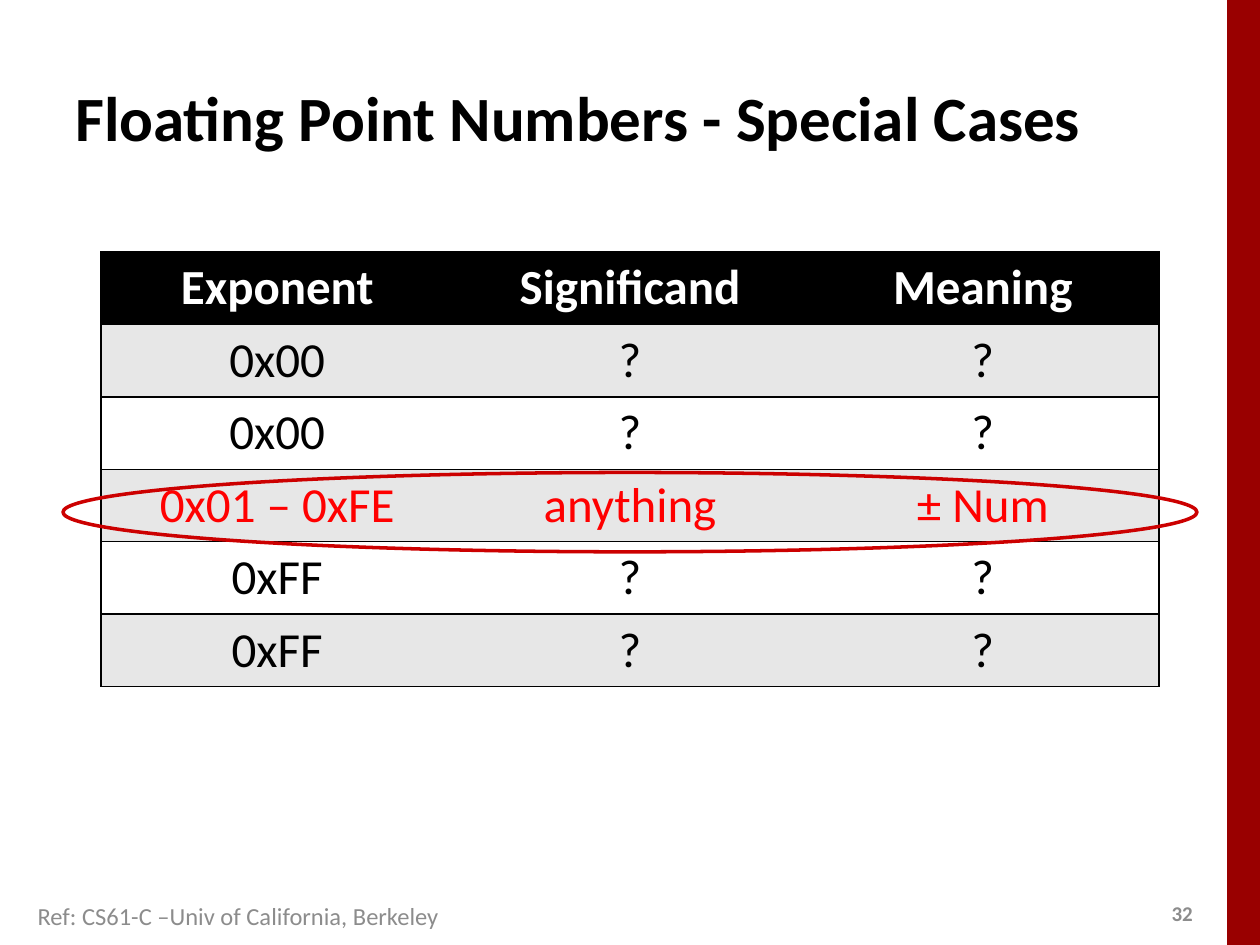
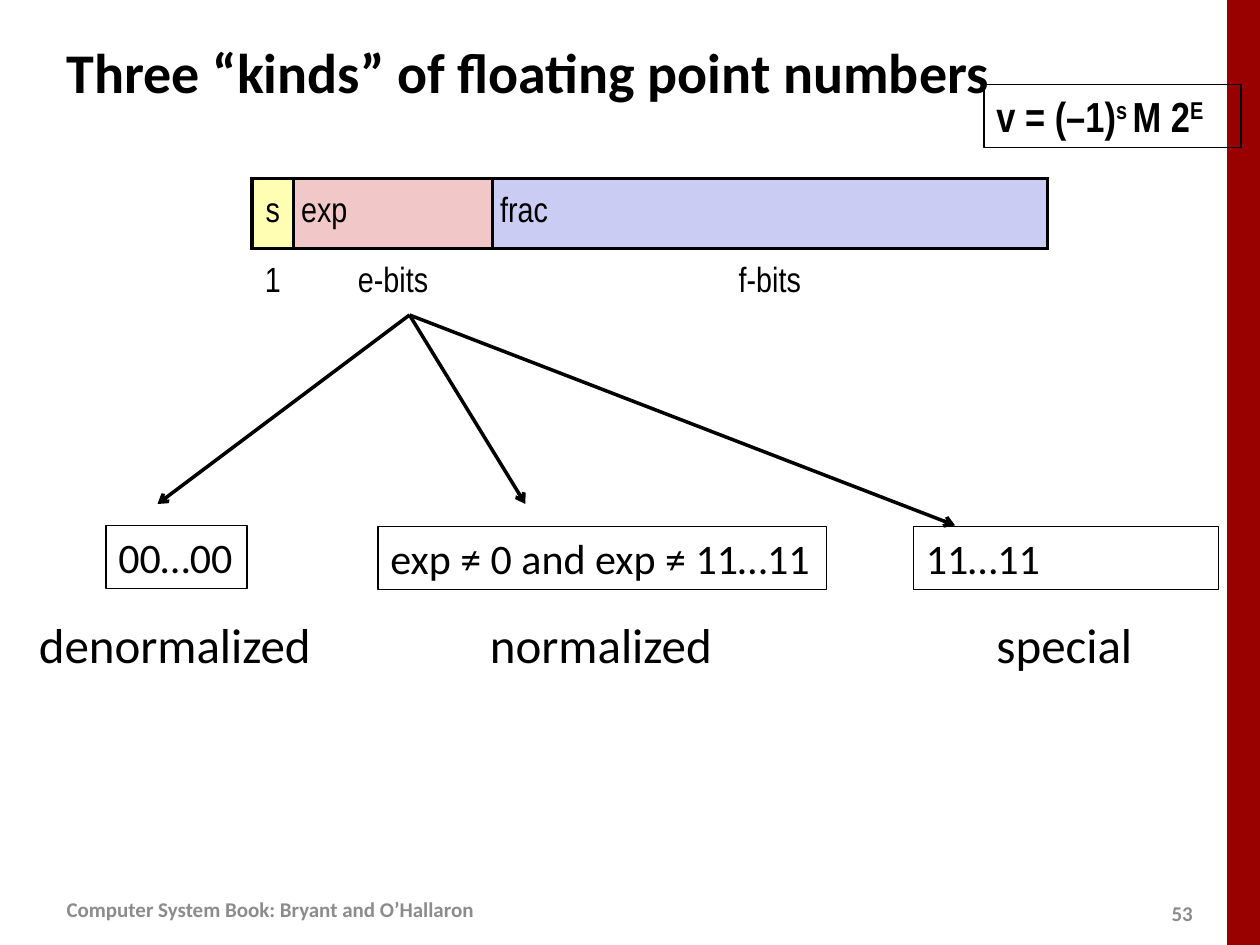
from lxml import etree
from pptx import Presentation
from pptx.dml.color import RGBColor
from pptx.enum.shapes import MSO_CONNECTOR as Connector, MSO_SHAPE as Preset
from pptx.enum.text import MSO_ANCHOR as Anchor, PP_ALIGN as Align
from pptx.oxml.ns import qn
from pptx.util import Inches, Pt

BLACK, WHITE, RED, GREY = "000000", "FFFFFF", "FF0000", "8C8C8C"
BAND, RING, STRIPE = "990000", "CC0000", "E7E7E7"
SIGN, EXPONENT, FRACTION = "FFFEB2", "F1C7C7", "CBCCF3"
BODY, NARROW = "Calibri", "Arial Narrow"


def rgb(color):
    return RGBColor.from_string(color)


class Deck:
    def __init__(self):
        self.presentation = Presentation()
        self.presentation.slide_width = Inches(10)
        self.presentation.slide_height = Inches(7.5)
        self.slide = None

    def start(self, title, place, size, number):
        layout = self.presentation.slide_layouts[6]
        self.slide = self.presentation.slides.add_slide(layout)
        self.shape(Preset.RECTANGLE, (9.74, 0, 0.26, 7.5), fill=BAND)
        self.text(str(number), (9.2, 7.1, 0.4, 0.3), 12, GREY, bold=True, anchor=Anchor.MIDDLE)
        self.text(title, place, size, bold=True, anchor=Anchor.MIDDLE)

    def style(self, paragraph, size, color=BLACK, bold=False, name=BODY):
        font = paragraph.font
        font.size, font.bold, font.name = Pt(size), bold, name
        font.color.rgb = rgb(color)

    def shape(self, preset, place, fill=None, line=None, width=0.75):
        shape = self.slide.shapes.add_shape(preset, *map(Inches, place))
        shape.shadow.inherit = False
        if fill:
            shape.fill.solid()
            shape.fill.fore_color.rgb = rgb(fill)
        else:
            shape.fill.background()
        if line:
            shape.line.color.rgb = rgb(line)
            shape.line.width = Pt(width)
        else:
            shape.line.fill.background()
        return shape

    def text(self, parts, place, size, color=BLACK, bold=False, name=BODY,
             anchor=Anchor.TOP, boxed=False):
        if boxed:
            shape = self.shape(Preset.RECTANGLE, place, line=BLACK)
        else:
            shape = self.slide.shapes.add_textbox(*map(Inches, place))
        frame = shape.text_frame
        frame.word_wrap = True
        frame.margin_right = 0
        frame.vertical_anchor = anchor
        paragraph = frame.paragraphs[0]
        paragraph.alignment = Align.LEFT
        for part in [(parts, False)] if isinstance(parts, str) else parts:
            run = paragraph.add_run()
            run.text, raised = part
            if raised:
                run._r.get_or_add_rPr().set("baseline", "32000")
        self.style(paragraph, size, color, bold, name)

    def arrow(self, start, end):
        points = map(Inches, (*start, *end))
        connector = self.slide.shapes.add_connector(Connector.STRAIGHT, *points)
        connector.line.color.rgb = rgb(BLACK)
        connector.line.width = Pt(2)
        line = connector.line._get_or_add_ln()
        etree.SubElement(line, qn("a:tailEnd"), type="arrow")
        etree.SubElement(connector._element.spPr, qn("a:effectLst"))

    def table(self, place, rows, widths):
        shape = self.slide.shapes.add_table(len(rows), len(widths), *map(Inches, place))
        table = shape.table
        table.first_row = table.horz_banding = False
        for column, width in zip(table.columns, widths):
            column.width = Inches(width)
        for row in table.rows:
            row.height = Inches(place[3] / len(rows))
        for row, texts in enumerate(rows):
            for column, text in enumerate(texts):
                table.cell(row, column).text = text
        return table

    def cell(self, cell, sides, width, fill, size, color=BLACK, bold=False, name=BODY,
             align=Align.CENTER):
        properties = cell._tc.get_or_add_tcPr()
        for side in "LRTB":
            line = etree.SubElement(properties, qn(f"a:ln{side}"), w=str(Pt(width)))
            if side in sides:
                solid = etree.SubElement(line, qn("a:solidFill"))
                etree.SubElement(solid, qn("a:srgbClr"), val=BLACK)
            else:
                etree.SubElement(line, qn("a:noFill"))
        if fill:
            cell.fill.solid()
            cell.fill.fore_color.rgb = rgb(fill)
        else:
            cell.fill.background()
        paragraph = cell.text_frame.paragraphs[0]
        paragraph.alignment = align
        self.style(paragraph, size, color, bold, name)


def special_cases(deck):
    deck.start("Floating Point Numbers - Special Cases", (0.5, 0.3, 9, 1.25), 36, 32)
    rows = [
        ("Exponent", "Significand", "Meaning"),
        ("0x00", "?", "?"),
        ("0x00", "?", "?"),
        ("0x01 – 0xFE", "anything", "± Num"),
        ("0xFF", "?", "?"),
        ("0xFF", "?", "?"),
    ]
    table = deck.table((0.8, 2, 8.4, 3.45), rows, [2.8] * 3)
    for row in range(len(rows)):
        header = row == 0
        fill = BLACK if header else STRIPE if row % 2 else WHITE
        color = WHITE if header else RED if row == 3 else BLACK
        for column, sides in enumerate(("LTB", "TB", "RTB")):
            deck.cell(table.cell(row, column), sides, 1, fill, 28, color, header)
    deck.text("Ref: CS61-C –Univ of California, Berkeley", (0.2, 7.1, 4.97, 0.29), 14, GREY)
    deck.shape(Preset.OVAL, (0.5, 3.75, 9, 0.63), line=RING, width=2)


def three_kinds(deck):
    deck.start("Three “kinds” of floating point numbers", (0.43, 0.21, 7.88, 0.71), 32, 53)
    rows = [("s", "exp", "frac"), ("1", "e-bits", "f-bits")]
    table = deck.table((2, 1.42, 6.31, 1.11), rows, (0.33, 1.58, 4.4))
    for column, fill in enumerate((SIGN, EXPONENT, FRACTION)):
        align = Align.LEFT if column else Align.CENTER
        field, bits = table.cell(0, column), table.cell(1, column)
        for cell in (field, bits):
            cell.vertical_anchor = Anchor.MIDDLE
            cell.margin_left = cell.margin_right = Inches(0.06)
            cell.margin_top = cell.margin_bottom = Inches(0.06)
        deck.cell(field, "LRTB", 2, fill, 20, name=NARROW, align=align)
        deck.cell(bits, "T", 2, None, 20, name=NARROW)

    for end in ((1.25, 4), (4.17, 4), (7.58, 4.17)):
        deck.arrow((3.25, 2.5), end)

    kinds = [
        ("00…00", 0.84, 4.17, 1.12, "denormalized", 0.21, 2.38),
        ("exp ≠ 0 and exp ≠ 11…11", 3, 4.18, 3.56, "normalized", 3.79, 1.98),
        ("11…11", 7.25, 4.18, 2.42, "special", 7.81, 1.29),
    ]
    for pattern, left, top, width, kind, kind_left, kind_width in kinds:
        deck.text(pattern, (left, top, width, 0.5), 24, boxed=True)
        deck.text(kind, (kind_left, 4.83, kind_width, 0.57), 28)

    formula = [("v = (–1)", False), ("s ", True), ("M 2", False), ("E", True)]
    deck.text(formula, (7.81, 0.67, 2.04, 0.5), 24, bold=True, name=NARROW, boxed=True)
    deck.text("Computer System Book: Bryant and O’Hallaron", (0.43, 6.98, 4.17, 0.47),
              12, GREY, bold=True, anchor=Anchor.MIDDLE)


def main():
    deck = Deck()
    special_cases(deck)
    three_kinds(deck)
    deck.presentation.save("out.pptx")


if __name__ == "__main__":
    main()
